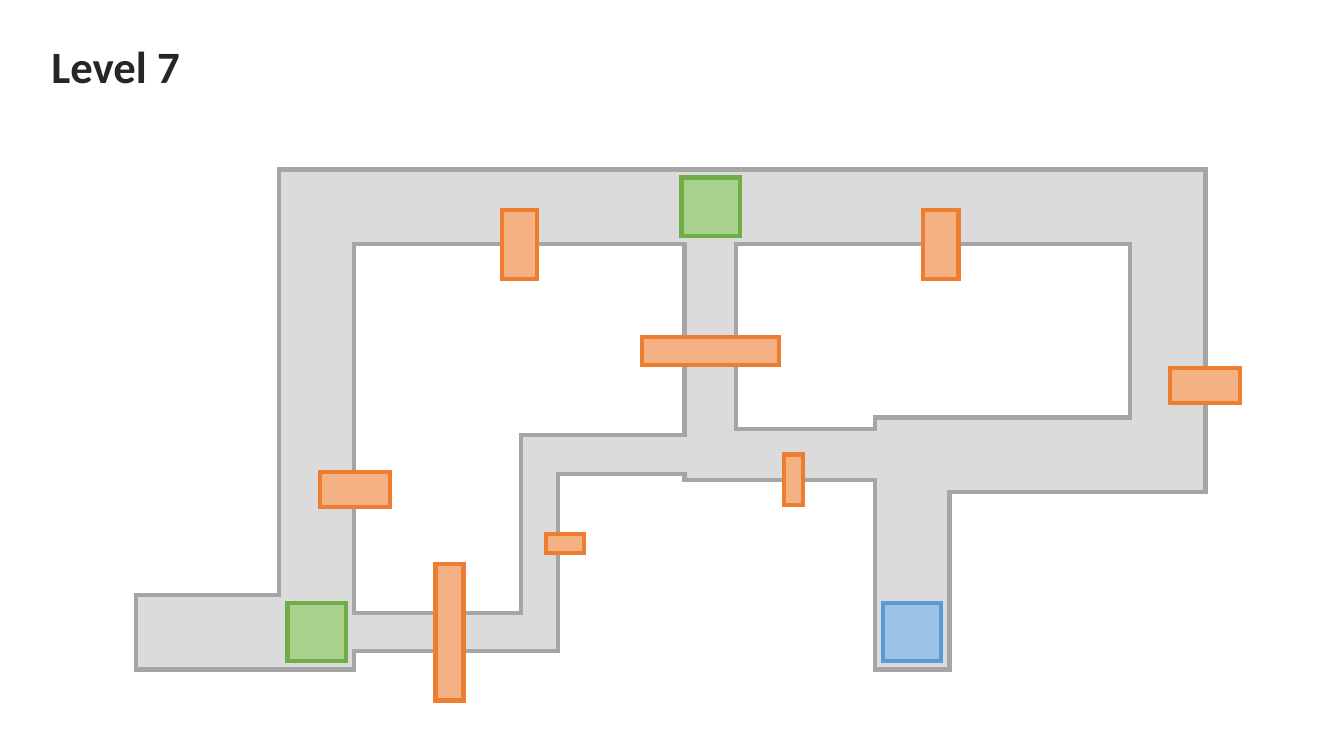
from lxml.etree import SubElement
from pptx import Presentation
from pptx.dml.color import RGBColor
from pptx.enum.shapes import MSO_SHAPE
from pptx.enum.text import MSO_ANCHOR, MSO_AUTO_SIZE, PP_ALIGN
from pptx.oxml.ns import qn
from pptx.util import Cm, Pt

# Colours
INK = RGBColor(0x26, 0x26, 0x26)
FLOOR, WALL = RGBColor(0xDB, 0xDB, 0xDB), RGBColor(0xA5, 0xA5, 0xA5)
GREEN = (RGBColor(0xA9, 0xD1, 0x8E), RGBColor(0x70, 0xAD, 0x47))
BLUE = (RGBColor(0x9D, 0xC3, 0xE6), RGBColor(0x5B, 0x9B, 0xD5))
ORANGE = (RGBColor(0xF4, 0xB1, 0x83), RGBColor(0xED, 0x7D, 0x31))

# Corridor outline and its two holes, as corners in cm
OUTLINE = [
    (7.04, 4.27), (30.38, 4.27), (30.38, 12.4), (23.93, 12.4),
    (23.93, 16.87), (22.05, 16.87), (22.05, 12.09), (17.25, 12.09),
    (17.25, 11.94), (14.07, 11.94), (14.07, 16.41), (8.92, 16.41),
    (8.92, 16.87), (3.43, 16.87), (3.43, 14.99), (7.04, 14.99),
]
LEFT_HOLE = [
    (8.92, 6.15), (8.92, 15.44), (13.13, 15.44), (13.13, 10.97),
    (17.25, 10.97), (17.25, 6.15),
]
RIGHT_HOLE = [
    (18.54, 6.15), (18.54, 10.82), (22.05, 10.82), (22.05, 10.52),
    (28.47, 10.52), (28.47, 6.15),
]

# Doors: centre x, centre y, width, height in cm
DOORS = [
    (13.09, 6.16, 0.89, 1.75),
    (23.71, 6.16, 0.89, 1.75),
    (30.37, 9.72, 1.75, 0.89),
    (8.95, 12.33, 1.75, 0.89),
    (20, 12.09, 0.48, 1.27),
    (14.24, 13.7, 0.94, 0.48),
    (11.33, 15.93, 0.71, 3.45),
    (17.91, 8.84, 3.45, 0.71),
]
BLOCK = 1.47


def write(tf, text, *, size, color, bold=False, font="Calibri", align=PP_ALIGN.LEFT):
    p = tf.paragraphs[0]
    p.alignment = align
    r = p.add_run()
    r.text = text
    r.font.name, r.font.size, r.font.bold = font, Pt(size), bold
    r.font.color.rgb = color


class LevelMap:
    """Holds the current slide and the shared line style."""

    def __init__(self, slide, line_width=3):
        self.s = slide
        self.line_width = Pt(line_width)

    def paint(self, sp, fill, line):
        sp.shadow.inherit = False
        sp.fill.solid()
        sp.fill.fore_color.rgb = fill
        sp.line.color.rgb = line
        sp.line.width = self.line_width
        # Sharp corners
        SubElement(sp.line._get_or_add_ln(), qn("a:miter"), lim="800000")

    def title(self, text, x, y, w, h):
        sp = self.s.shapes.title
        sp.left, sp.top, sp.width, sp.height = Cm(x), Cm(y), Cm(w), Cm(h)
        tf = sp.text_frame
        tf.word_wrap = False
        tf.auto_size = MSO_AUTO_SIZE.SHAPE_TO_FIT_TEXT
        tf.vertical_anchor = MSO_ANCHOR.TOP
        write(tf, text, size=32, color=INK, bold=True)

    def corridor(self, *contours):
        start_x, start_y = contours[0][0]
        builder = self.s.shapes.build_freeform(Cm(start_x), Cm(start_y))
        for i, contour in enumerate(contours):
            points = [(Cm(x), Cm(y)) for x, y in contour]
            if i:
                builder.move_to(*points[0])
            builder.add_line_segments(points[1:], close=True)
        self.paint(builder.convert_to_shape(), FLOOR, WALL)

    def box(self, cx, cy, w, h, colors):
        sp = self.s.shapes.add_shape(
            MSO_SHAPE.RECTANGLE, Cm(cx - w / 2), Cm(cy - h / 2), Cm(w), Cm(h))
        self.paint(sp, *colors)

    def block(self, cx, cy, colors):
        self.box(cx, cy, BLOCK, BLOCK, colors)


def main():
    prs = Presentation()
    prs.slide_width, prs.slide_height = Cm(33.87), Cm(19.05)
    level = LevelMap(prs.slides.add_slide(prs.slide_layouts[5]))

    # Heading and floor plan
    level.title("Level 7", 1.04, 0.86, 4.24, 1.63)
    level.corridor(OUTLINE, LEFT_HOLE, RIGHT_HOLE)

    # Doors and blocks
    level.block(22.99, 15.93, BLUE)
    for door in DOORS:
        level.box(*door, ORANGE)
    for cx, cy in [(17.91, 5.21), (7.98, 15.93)]:
        level.block(cx, cy, GREEN)

    prs.save("out.pptx")


if __name__ == "__main__":
    main()
